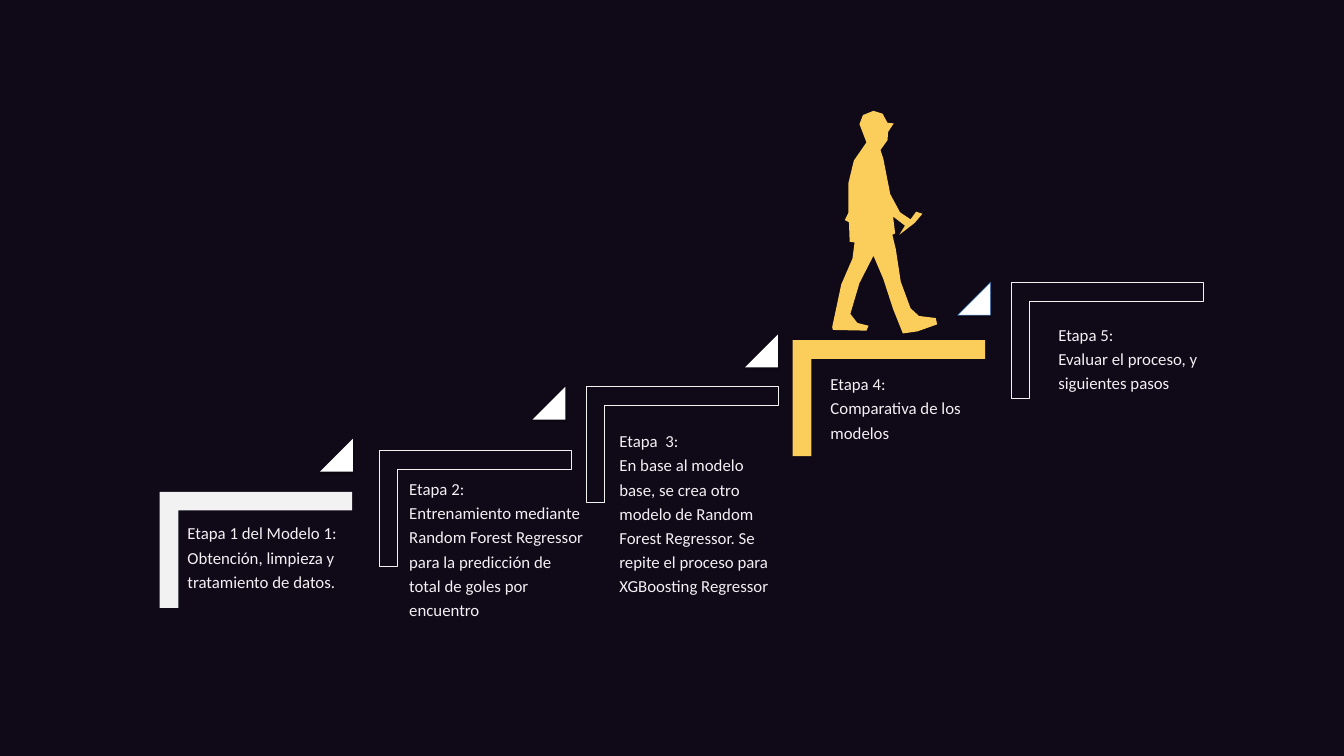
from lxml.etree import SubElement
from pptx import Presentation
from pptx.dml.color import RGBColor
from pptx.enum.text import MSO_AUTO_SIZE
from pptx.oxml.ns import qn
from pptx.util import Pt

COLORS = {"night": "100918", "light": "F2F2F2", "text": "F4F0F4", "white": "FFFFFF",
          "gold": "FBCD5B", "blue": "397DCA", "shadow": "000000"}

STEPS = [
    {"corner": (228.2, 702.7), "fill": "light", "label": (263.5, 737.3), "rows": 3,
     "text": ("Etapa 1 del Modelo 1:", "Obtención, limpieza y tratamiento de datos.")},
    {"corner": (541.4, 643.7), "line": "light", "label": (580.3, 673.9), "rows": 6,
     "width": 260.6,
     "text": ("Etapa 2:", "Entrenamiento mediante Random Forest Regressor para la "
              "predicción de total de goles por encuentro")},
    {"corner": (837.4, 552.2), "line": "light", "label": (880.6, 605.5), "rows": 7,
     "text": ("Etapa  3:", "En base al modelo base, se crea otro modelo de Random Forest "
              "Regressor. Se repite el proceso para XGBoosting Regressor")},
    {"corner": (1132.6, 486), "fill": "gold", "label": (1182.2, 524.2), "rows": 3,
     "text": ("Etapa 4:", "Comparativa de los modelos")},
    {"corner": (1444.3, 403.2), "line": "light", "label": (1507.7, 453.6), "rows": 3,
     "text": ("Etapa 5:", "Evaluar el proceso, y siguientes pasos")},
]
LABEL_WIDTH, ROW_HEIGHT, LABEL_PADDING = 238.3, 34.9, 5.5

STEP_LENGTH, STEP_DROP, STEP_BAR = 275, 165.6, 26.6
MARKER, MARKER_START, MARKER_GAP = 46.8, (457.2, 627.1), (303.7, -74.6)

WORKER_AT = (1188, 158.4)
WORKER = [
    (70, 56), (80, 42), (81, 30), (89, 18), (80, 17), (73, 4), (60, 0), (45, 6),
    (40, 19), (50, 45), (32, 71), (24, 104), (24, 146), (19, 156), (25, 159),
    (26, 187), (33, 188), (30, 211), (14, 248), (1, 309), (2, 313), (50, 314),
    (53, 307), (37, 303), (27, 290), (40, 246), (60, 207), (74, 240), (88, 283),
    (102, 318), (123, 315), (151, 305), (149, 296), (125, 293), (113, 282),
    (99, 244), (92, 198), (87, 177), (91, 175), (88, 151), (105, 164), (97, 177),
    (119, 160), (130, 147), (121, 144), (113, 155), (98, 145), (84, 119), (74, 68),
]


def add_outline(slide, points, at=(0, 0), fill=None, line=None):
    """Draw a closed polygon at a position, with an optional fill and hairline."""
    start, *rest = [(Pt(at[0] + x), Pt(at[1] + y)) for x, y in points]
    builder = slide.shapes.build_freeform(*start)
    builder.add_line_segments(rest, close=True)
    s = builder.convert_to_shape()
    s.shadow.inherit = False
    for target, color in ((s.fill, fill), (s.line.fill, line)):
        if color:
            target.solid()
            target.fore_color.rgb = RGBColor.from_string(COLORS[color])
        else:
            target.background()
    if line:
        s.line.width = Pt(0.75)
    return s


def add_step(slide, step):
    """Draw the angled stair tread of a step."""
    points = [(0, 0), (STEP_LENGTH, 0), (STEP_LENGTH, STEP_BAR), (STEP_BAR, STEP_BAR),
              (STEP_BAR, STEP_DROP), (0, STEP_DROP)]
    add_outline(slide, points, step["corner"], step.get("fill"), step.get("line"))


def add_marker(slide, index, line):
    """Draw the shadowed triangle that leads up to the next step."""
    at = [start + index * gap for start, gap in zip(MARKER_START, MARKER_GAP)]
    s = add_outline(slide, [(0, MARKER), (MARKER, 0), (MARKER, MARKER)], at, "white", line)
    effects = s._element.spPr.find(qn("a:effectLst"))
    shadow = SubElement(effects, qn("a:outerShdw"), blurRad=str(Pt(3)), dist=str(Pt(1.8)),
                        dir="5400000", rotWithShape="0")
    color = SubElement(shadow, qn("a:srgbClr"), val=COLORS["shadow"])
    SubElement(color, qn("a:alpha"), val="35000")


def add_label(slide, step):
    """Write the heading and description of a step."""
    size = step.get("width", LABEL_WIDTH), LABEL_PADDING + step["rows"] * ROW_HEIGHT
    tf = slide.shapes.add_textbox(*map(Pt, step["label"] + size)).text_frame
    frame = {"word_wrap": True, "auto_size": MSO_AUTO_SIZE.SHAPE_TO_FIT_TEXT}
    frame.update({f"margin_{side}": Pt(4.32) for side in ("left", "top", "right", "bottom")})
    for name, value in frame.items():
        setattr(tf, name, value)
    for i, line in enumerate(step["text"]):
        p = tf.add_paragraph() if i else tf.paragraphs[0]
        p.line_spacing = 1.2
        r = p.add_run()
        r.text = line
        for name, value in {"size": Pt(24), "name": "Calibri"}.items():
            setattr(r.font, name, value)
        r.font.color.rgb = RGBColor.from_string(COLORS["text"])


def main():
    """Build the staircase slide and save it."""
    prs = Presentation()
    prs.slide_width, prs.slide_height = Pt(1920.24), Pt(1080)
    slide = prs.slides.add_slide(prs.slide_layouts[6])
    slide.background.fill.solid()
    slide.background.fill.fore_color.rgb = RGBColor.from_string(COLORS["night"])
    for step in STEPS:
        add_step(slide, step)
    for index, line in enumerate((None, None, None, "blue")):
        add_marker(slide, index, line)
    add_outline(slide, WORKER, WORKER_AT, "gold")
    for step in STEPS:
        add_label(slide, step)
    prs.save("out.pptx")


if __name__ == "__main__":
    main()
